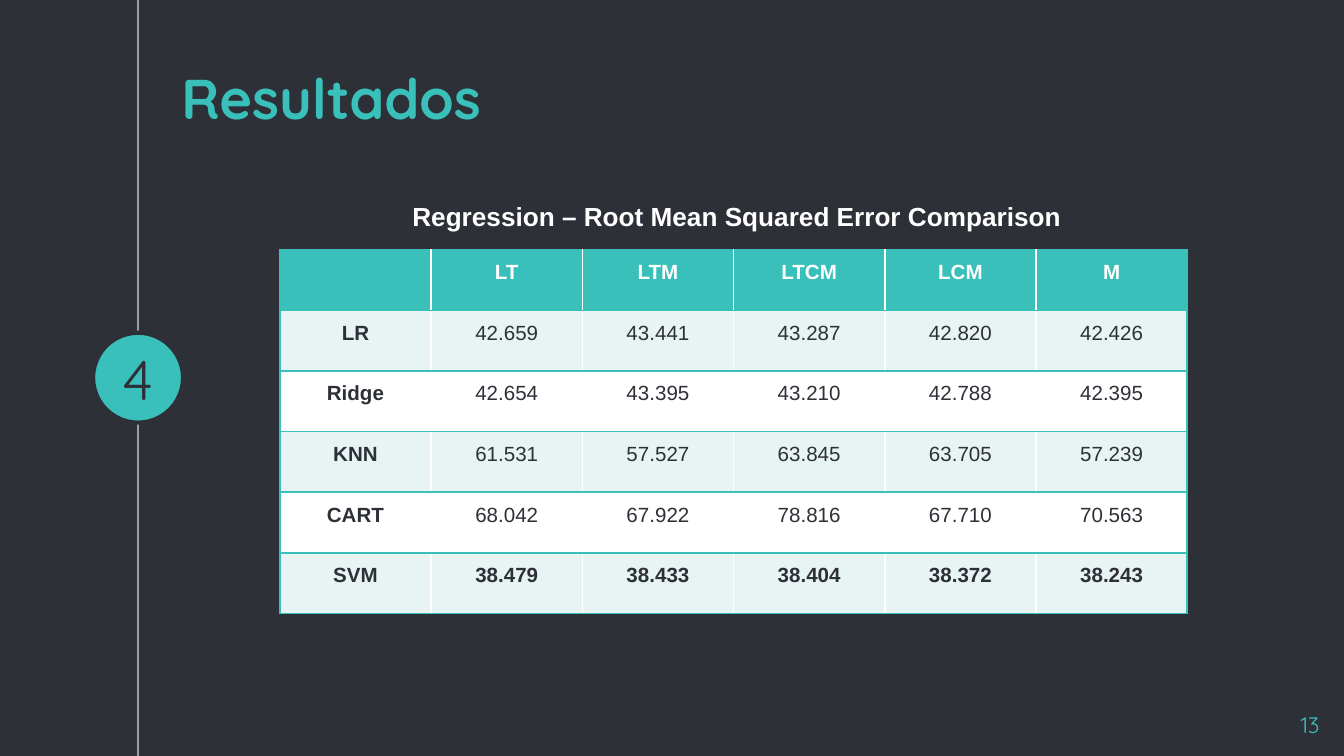
from lxml.etree import SubElement
from pptx import Presentation
from pptx.dml.color import RGBColor
from pptx.enum.shapes import MSO_CONNECTOR, MSO_SHAPE
from pptx.enum.text import MSO_ANCHOR, PP_ALIGN
from pptx.oxml.ns import qn
from pptx.util import Cm, Pt

DARK, TEAL, GREY = "2E3037", "39C0BA", "999FA9"
WHITE, PALE = "FFFFFF", "E8F4F3"
W, H = 25.4, 14.29


def rgb(value):
    return RGBColor.from_string(value)


def apply(target, values):
    for name, value in values.items():
        setattr(target, name, value)


class Deck:
    """Shared style and the slide being built."""

    body, display = "Arial", "Quicksand"

    def __init__(self, prs):
        self.s = prs.slides.add_slide(prs.slide_layouts[6])
        self.s.background.fill.solid()
        self.s.background.fill.fore_color.rgb = rgb(DARK)

    def add_text(self, p, text, color, align=PP_ALIGN.CENTER, para=None, **font):
        apply(p, {"alignment": align, **(para or {})})
        r = p.add_run()
        r.text = text
        apply(r.font, {"name": self.body, **font})
        r.font.color.rgb = rgb(color)

    def line(self, x1, y1, x2, y2, color, width):
        c = self.s.shapes.add_connector(
            MSO_CONNECTOR.STRAIGHT, Cm(x1), Cm(y1), Cm(x2), Cm(y2))
        c.line.color.rgb = rgb(color)
        c.line.width = Pt(width)
        SubElement(c._element.spPr, qn("a:effectLst"))

    def circle(self, x, y, size, fill, outline, width):
        sp = self.s.shapes.add_shape(
            MSO_SHAPE.OVAL, Cm(x), Cm(y), Cm(size), Cm(size))
        sp.shadow.inherit = False
        sp.fill.solid()
        sp.fill.fore_color.rgb = rgb(fill)
        sp.line.color.rgb = rgb(outline)
        sp.line.width = Pt(width)

    def text(self, x, y, w, h, text, color, anchor=MSO_ANCHOR.TOP,
             pad=0.25, **style):
        tf = self.s.shapes.add_textbox(Cm(x), Cm(y), Cm(w), Cm(h)).text_frame
        apply(tf, {"word_wrap": True, "vertical_anchor": anchor,
                   "margin_top": Cm(pad), "margin_bottom": Cm(pad)})
        self.add_text(tf.paragraphs[0], text, color, **style)

    def border(self, cell, sides, color):
        tcPr = cell._tc.get_or_add_tcPr()
        for side in sides:
            ln = SubElement(tcPr, qn(f"a:ln{side}"), w=str(Pt(1)))
            fill = SubElement(ln, qn("a:solidFill"))
            SubElement(fill, qn("a:srgbClr"), val=color)

    def table(self, x, y, w, h, rows, bold_row):
        n, m = len(rows), len(rows[0])
        tbl = self.s.shapes.add_table(n, m, Cm(x), Cm(y), Cm(w), Cm(h)).table
        for i, row in enumerate(rows):
            tbl.rows[i].height = Cm(h / n)
            for j, value in enumerate(row):
                cell = tbl.cell(i, j)
                # Outer frame plus a rule between rows
                sides = ["L"] * (j == 0) + ["R"] * (j == m - 1) + ["T", "B"]
                self.border(cell, sides, TEAL)
                cell.fill.solid()
                cell.fill.fore_color.rgb = rgb(
                    TEAL if i == 0 else PALE if i % 2 else WHITE)
                apply(cell, {"margin_left": Cm(0.18), "margin_right": Cm(0.18),
                             "margin_top": 0, "margin_bottom": 0})
                if value:
                    self.add_text(cell.text_frame.paragraphs[0], value,
                                  DARK if i else WHITE, size=Pt(11),
                                  bold=i in (0, bold_row) or j == 0,
                                  para={"line_spacing": 1.5,
                                        "space_after": Pt(8)})
        for col in tbl.columns:
            col.width = Cm(w / m)


def main():
    prs = Presentation()
    prs.slide_width, prs.slide_height = Cm(W), Cm(H)
    deck = Deck(prs)

    # Side line with section marker
    deck.line(2.61, 0, 2.61, H, GREY, 0.75)
    deck.circle(1.76, 6.29, 1.7, TEAL, DARK, 2.25)

    # Page number, title and section number
    deck.text(23.67, 13.2, 1.52, 0.87, "13", TEAL, align=PP_ALIGN.RIGHT,
              name=deck.display, size=Pt(12))
    deck.text(3.18, 0, 19.05, 2.72, "Resultados", TEAL, MSO_ANCHOR.BOTTOM,
              align=PP_ALIGN.LEFT, name=deck.display, size=Pt(30), bold=True)
    deck.text(1.49, 6.32, 2.23, 1.65, "4", DARK, MSO_ANCHOR.MIDDLE,
              name=deck.display, size=Pt(30))

    # Results table with caption
    deck.text(7.38, 3.65, 13.1, 0.86,
              "Regression – Root Mean Squared Error Comparison", WHITE,
              pad=0.13, size=Pt(14), bold=True)
    rows = [
        ["", "LT", "LTM", "LTCM", "LCM", "M"],
        ["LR", "42.659", "43.441", "43.287", "42.820", "42.426"],
        ["Ridge", "42.654", "43.395", "43.210", "42.788", "42.395"],
        ["KNN", "61.531", "57.527", "63.845", "63.705", "57.239"],
        ["CART", "68.042", "67.922", "78.816", "67.710", "70.563"],
        ["SVM", "38.479", "38.433", "38.404", "38.372", "38.243"],
    ]
    deck.table(5.29, 4.72, 17.15, 6.88, rows, bold_row=5)

    prs.save("out.pptx")


if __name__ == "__main__":
    main()
